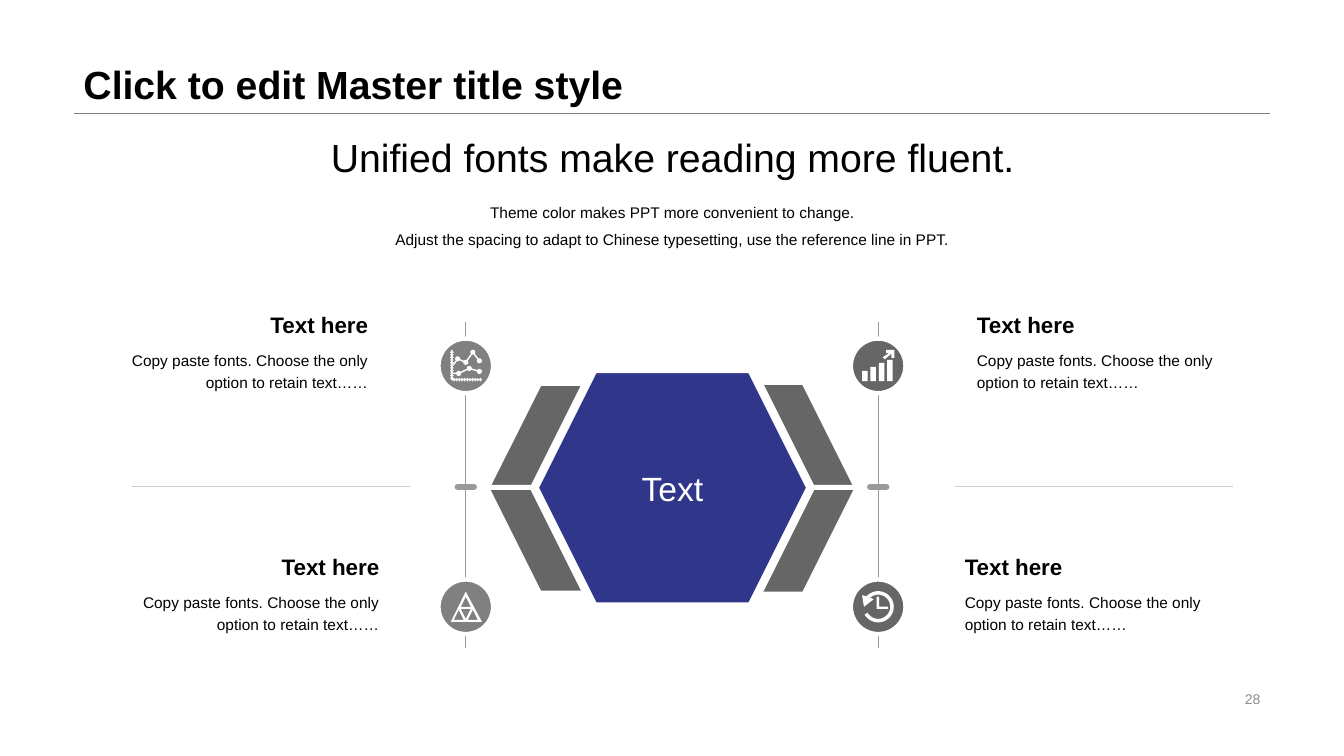
import math
from itertools import pairwise

from lxml import etree
from pptx import Presentation
from pptx import util as u
from pptx.dml.color import RGBColor
from pptx.enum import shapes, text
from pptx.oxml.ns import qn

COLORS = {
    "black": "000000", "white": "FFFFFF", "blue": "303689", "dark": "666666",
    "gray": "808080", "axis": "999999", "divider": "CCCCCC", "number": "8C8C8C",
}
LEFT, CENTER, RIGHT = text.PP_ALIGN.LEFT, text.PP_ALIGN.CENTER, text.PP_ALIGN.RIGHT
TOP, MIDDLE, BOTTOM = (text.MSO_ANCHOR.TOP, text.MSO_ANCHOR.MIDDLE,
                       text.MSO_ANCHOR.BOTTOM)


class SlideBuilder:
    font = "Arial"

    def __init__(self, slide):
        self.shapes = slide.shapes

    def color(self, name):
        return RGBColor.from_string(COLORS[name])

    def fill_text(self, frame, lines, size, color="black", align=LEFT, anchor=TOP,
                  bold=False, spacing=None):
        frame.word_wrap = True
        frame.vertical_anchor = anchor
        frame.text = "\n".join(lines)
        for paragraph in frame.paragraphs:
            paragraph.alignment = align
            paragraph.line_spacing = spacing
            font = paragraph.font
            font.name, font.size, font.bold = self.font, u.Pt(size), bold
            font.color.rgb = self.color(color)

    def text(self, box, *lines, **style):
        frame = self.shapes.add_textbox(*map(u.Inches, box)).text_frame
        self.fill_text(frame, lines, **style)

    def paint(self, shape, fill, outline=0):
        """Fill a shape and give it a white outline of the given width."""
        shape.shadow.inherit = False
        shape.fill.solid()
        shape.fill.fore_color.rgb = self.color(fill)
        if outline:
            shape.line.color.rgb = self.color("white")
            shape.line.width = u.Pt(outline)
        else:
            shape.line.fill.background()
        return shape

    def shape(self, kind, box, fill, outline=0):
        shape = self.shapes.add_shape(kind, *map(u.Inches, box))
        return self.paint(shape, fill, outline)

    def line(self, start, end, color, width, round_cap=False):
        line = self.shapes.add_connector(
            shapes.MSO_CONNECTOR.STRAIGHT, *map(u.Inches, (*start, *end)))
        line.line.color.rgb = self.color(color)
        line.line.width = u.Pt(width)
        if round_cap:
            line.get_or_add_ln().set("cap", "rnd")
        etree.SubElement(line.element.spPr, qn("a:effectLst"))

    def icon(self, contours):
        """Draw closed contours, given in inches, as one white freeform."""
        scaled = [[(u.Inches(x), u.Inches(y)) for x, y in contour]
                  for contour in contours]
        builder = self.shapes.build_freeform(*scaled[0][0])
        for index, contour in enumerate(scaled):
            if index:
                builder.move_to(*contour[0])
            builder.add_line_segments(contour[1:], close=True)
        self.paint(builder.convert_to_shape(), "white")


def rectangle(left, top, right, bottom):
    return [(left, top), (right, top), (right, bottom), (left, bottom)]


def arc(center, radius, start, end, steps=36):
    angles = (math.radians(start + (end - start) * i / steps)
              for i in range(steps + 1))
    return [(center[0] + radius * math.cos(a), center[1] + radius * math.sin(a))
            for a in angles]


def link(start, end, trim_start, trim_end, half=0.007):
    """Thin bar between two points, shortened at its ends."""
    (x1, y1), (x2, y2) = start, end
    length = math.dist(start, end)
    dx, dy = (x2 - x1) / length, (y2 - y1) / length
    x1, y1 = x1 + dx * trim_start, y1 + dy * trim_start
    x2, y2 = x2 - dx * trim_end, y2 - dy * trim_end
    nx, ny = -dy * half, dx * half
    return [(x1 + nx, y1 + ny), (x2 + nx, y2 + ny),
            (x2 - nx, y2 - ny), (x1 - nx, y1 - ny)]


def line_chart_icon():
    contours = [[(4.475, 3.475), (4.49, 3.475), (4.49, 3.76), (4.78, 3.76),
                 (4.78, 3.775), (4.475, 3.775)]]
    for i in range(11):
        y, x = 3.49 + 0.0257 * i, 4.5 + 0.026 * i
        contours += [rectangle(4.465, y, 4.475, y + 0.01),
                     rectangle(4.49, y, 4.5, y + 0.01),
                     rectangle(x, 3.75, x + 0.01, 3.76),
                     rectangle(x, 3.775, x + 0.01, 3.785)]
    radius = 0.025
    series = [[(4.49, 3.63), (4.54, 3.56), (4.62, 3.595), (4.69, 3.495), (4.755, 3.58)],
              [(4.49, 3.705), (4.55, 3.705), (4.655, 3.655), (4.755, 3.685)]]
    for points in series:
        contours += [arc(point, radius, 0, 360, 20) for point in points[1:]]
        contours += [link(a, b, 0 if a == points[0] else radius, radius)
                     for a, b in pairwise(points)]
    return contours


def bar_chart_icon():
    bars = [rectangle(8.55 + 0.083 * i, top, 8.605 + 0.083 * i, 3.78)
            for i, top in enumerate((3.68, 3.64, 3.6, 3.57))]
    arrow = [(8.79, 3.47), (8.87, 3.47), (8.87, 3.55), (8.84, 3.55), (8.84, 3.51),
             (8.775, 3.565), (8.755, 3.545), (8.82, 3.5), (8.79, 3.5)]
    return bars + [arrow]


def triangle_icon():
    return [[(4.62, 5.87), (4.78, 6.17), (4.47, 6.17)],
            [(4.62, 5.92), (4.67, 6.02), (4.57, 6.02)],
            [(4.57, 6.04), (4.67, 6.04), (4.62, 6.14)],
            [(4.55, 6.05), (4.6, 6.15), (4.5, 6.15)],
            [(4.69, 6.05), (4.74, 6.15), (4.64, 6.15)]]


def clock_icon():
    center = (8.71, 6.02)
    arrow = [(8.55, 5.905), (8.57, 6.02), (8.665, 5.945), (8.63, 5.93)]
    ring = arc(center, 0.155, 150, -138) + arrow + arc(center, 0.12, -130, 150)
    hands = [(8.695, 5.92), (8.72, 5.92), (8.72, 6.02), (8.81, 6.02),
             (8.81, 6.04), (8.695, 6.04)]
    return [ring, hands]


def main():
    deck = Presentation()
    deck.slide_width, deck.slide_height = u.Inches(13.33), u.Inches(7.5)
    page = SlideBuilder(deck.slides.add_slide(deck.slide_layouts[6]))

    page.line((0.73, 1.12), (12.6, 1.12), "gray", 0.25)
    page.text((0.73, 0, 11.87, 1.12), "Click to edit Master title style",
              size=28, bold=True, anchor=BOTTOM, spacing=0.9)
    page.text((9.42, 6.82, 3.18, 0.23), "28", size=10, color="number",
              align=RIGHT, anchor=MIDDLE)
    page.text((0.74, 1.24, 11.86, 0.64), "Unified fonts make reading more fluent.",
              size=28, align=CENTER, anchor=MIDDLE)
    page.text((0.74, 1.87, 11.86, 0.65),
              "Theme color makes PPT more convenient to change.",
              "Adjust the spacing to adapt to Chinese typesetting, "
              "use the reference line in PPT.",
              size=11, align=CENTER, spacing=1.5)

    for axis_x, divider_x in ((4.62, 1.31), (8.71, 9.47)):
        page.line((axis_x, 3.19), (axis_x, 6.43), "axis", 0.5)
        page.line((axis_x - 0.08, 4.83), (axis_x + 0.08, 4.83), "axis", 4.5, True)
        page.line((divider_x, 4.83), (divider_x + 2.76, 4.83), "divider", 0.5)

    hexagon = shapes.MSO_SHAPE.HEXAGON
    page.shape(hexagon, (6.09, 3.82, 2.38, 2.05), "dark")
    page.shape(hexagon, (4.86, 3.83, 2.36, 2.03), "dark")
    page.shape(shapes.MSO_SHAPE.RECTANGLE, (4.86, 4.81, 3.62, 0.05), "white")
    core = page.shape(hexagon, (5.3, 3.66, 2.74, 2.36), "blue", 6)
    page.fill_text(core.text_frame, ["Text"], 24, "white", CENTER, MIDDLE)

    topics = [
        (4.35, 3.36, "gray", line_chart_icon(), 0.93, 3.05, RIGHT),
        (8.44, 3.36, "dark", bar_chart_icon(), 9.59, 3.05, LEFT),
        (4.35, 5.75, "gray", triangle_icon(), 1.04, 5.45, RIGHT),
        (8.44, 5.75, "dark", clock_icon(), 9.47, 5.45, LEFT),
    ]
    for badge_x, badge_y, fill, contours, left, top, align in topics:
        page.shape(shapes.MSO_SHAPE.OVAL, (badge_x, badge_y, 0.54, 0.54), fill, 3)
        page.icon(contours)
        page.text((left, top + 0.35, 2.82, 0.79),
                  "Copy paste fonts. Choose the only option to retain text……",
                  size=11, align=align, spacing=1.2)
        page.text((left, top, 2.82, 0.35), "Text here", size=16, bold=True,
                  align=align, anchor=BOTTOM)

    deck.save("out.pptx")


if __name__ == "__main__":
    main()
